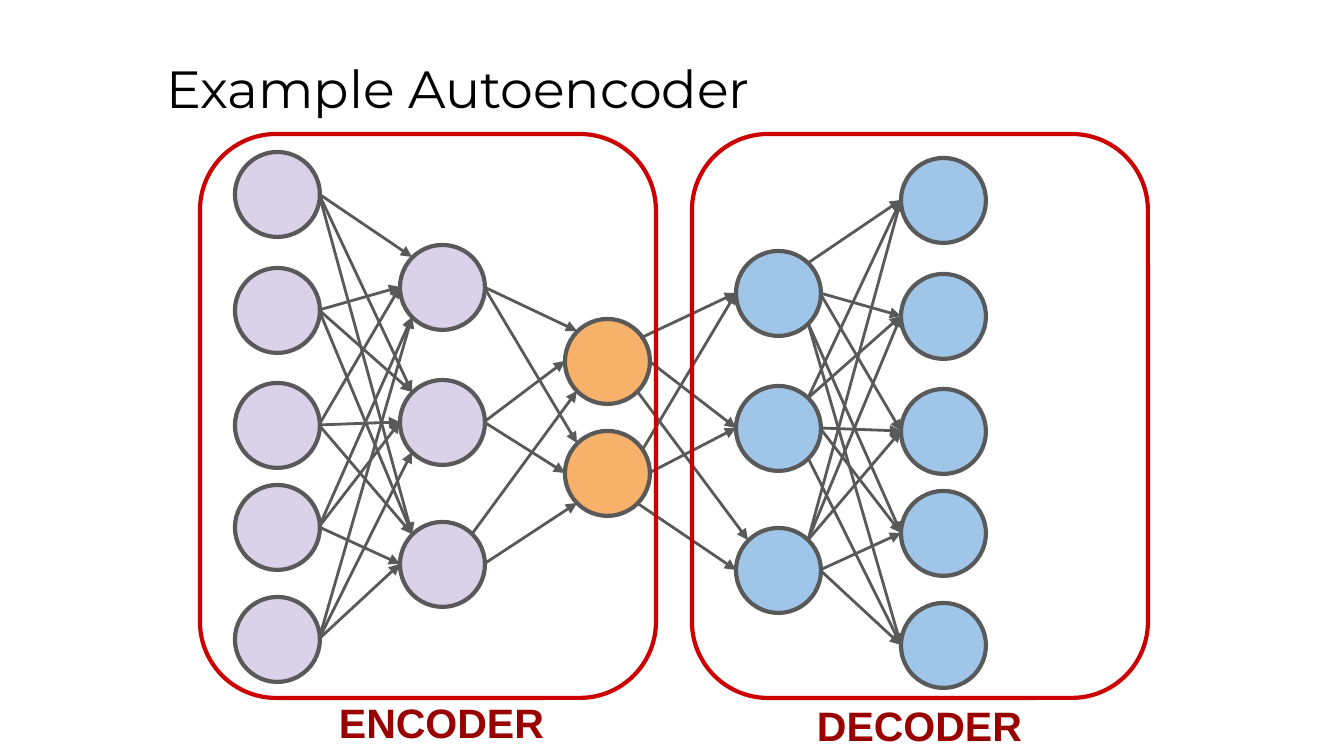
"""Build the autoencoder diagram slide."""
from lxml import etree
from pptx import Presentation
from pptx.dml.color import RGBColor
from pptx.enum.shapes import MSO_CONNECTOR, MSO_SHAPE
from pptx.enum.text import PP_ALIGN
from pptx.oxml.ns import qn
from pptx.util import Pt

PX = 914400 / 134.4
BLACK = RGBColor(0x00, 0x00, 0x00)
GRAY = RGBColor(0x59, 0x59, 0x59)
PURPLE = RGBColor(0xD9, 0xD2, 0xE9)
ORANGE = RGBColor(0xF6, 0xB2, 0x6B)
BLUE = RGBColor(0x9F, 0xC5, 0xE8)
RED = RGBColor(0xCC, 0x00, 0x00)
DARK_RED = RGBColor(0x99, 0x00, 0x00)

NODE, RADIUS = 85, 42
OUTER_TOPS = [152, 268, 383, 485, 597]
HIDDEN_TOPS = [245, 380, 522]
CODE_TOPS = [319, 431]
DECODER_DROP = 6

SITES = {"upper": (-30, -30), "side": (-RADIUS, 0), "lower": (-30, 30)}
OUTER_LINKS = [
    ["upper", "upper", "upper"],
    ["side", "upper", "upper"],
    ["side", "side", "upper"],
    ["lower", "side", "side"],
    ["lower", "lower", "side"],
]
CODE_LINKS = [["upper", "upper"], ["side", "side"], ["lower", "lower"]]


def emu(*lengths):
    return [round(v * PX) for v in lengths]


def add_label(text, box, font, size, color, bold=False, align=PP_ALIGN.LEFT):
    tb = s.shapes.add_textbox(*emu(*box))
    tf = tb.text_frame
    tf.word_wrap = True
    tf.margin_left = tf.margin_right = tf.margin_top = tf.margin_bottom = emu(13)[0]
    tf.text = text
    p = tf.paragraphs[0]
    p.alignment = align
    f = p.runs[0].font
    f.name, f.size, f.bold = font, Pt(size), bold
    f.color.rgb = color


prs = Presentation()
prs.slide_width, prs.slide_height = emu(1344, 756)
s = prs.slides.add_slide(prs.slide_layouts[6])

add_label("Example Autoencoder", (153, 43, 1145, 85), "Montserrat", 28, BLACK)

layers = {
    "input": (235, OUTER_TOPS, PURPLE),
    "encoder": (400, HIDDEN_TOPS, PURPLE),
    "code": (565, CODE_TOPS, ORANGE),
    "decoder": (736, [y + DECODER_DROP for y in HIDDEN_TOPS], BLUE),
    "output": (901, [y + DECODER_DROP for y in OUTER_TOPS], BLUE),
}
centers = {}
for name, (left, tops, fill) in layers.items():
    centers[name] = [(left + RADIUS, top + RADIUS) for top in tops]
    for top in tops:
        node = s.shapes.add_shape(MSO_SHAPE.OVAL, *emu(left, top, NODE, NODE))
        node.shadow.inherit = False
        node.fill.solid()
        node.fill.fore_color.rgb = fill
        node.line.color.rgb = GRAY
        node.line.width = Pt(2.25)

for far, near, links, side in [
    ("input", "encoder", OUTER_LINKS, 1),
    ("encoder", "code", CODE_LINKS, 1),
    ("output", "decoder", OUTER_LINKS, -1),
    ("decoder", "code", CODE_LINKS, -1),
]:
    for i, row in enumerate(links):
        for j, site in enumerate(row):
            dx, dy = SITES[site]
            if (near, side, site) == ("code", -1, "upper"):
                dx, dy = dx - DECODER_DROP, dy + DECODER_DROP
            x, y = centers[near][j]
            near_end = (x + side * dx, y + dy)
            x, y = centers[far][i]
            far_end = (x + side * RADIUS, y)
            if near == "code" and (i, j) == (2, 0):
                far_end = (x + side * 30, y - 30)
            ends = far_end + near_end if side == 1 else near_end + far_end
            arrow = s.shapes.add_connector(MSO_CONNECTOR.STRAIGHT, *emu(*ends))
            arrow.line.color.rgb = GRAY
            arrow.line.width = Pt(1.5)
            etree.SubElement(arrow.line._get_or_add_ln(), qn("a:tailEnd"), type="triangle")
            etree.SubElement(arrow._element.spPr, qn("a:effectLst"))

for text, frame_left, label_left, label_top in [
    ("ENCODER", 200, 316, 684),
    ("DECODER", 692, 794, 687),
]:
    frame = s.shapes.add_shape(MSO_SHAPE.ROUNDED_RECTANGLE, *emu(frame_left, 134, 456, 564))
    frame.shadow.inherit = False
    frame.adjustments[0] = 0.167
    frame.fill.background()
    frame.line.color.rgb = RED
    frame.line.width = Pt(2.25)
    add_label(text, (label_left, label_top, 251, 66), "Arial", 22, DARK_RED, True, PP_ALIGN.CENTER)

prs.save("out.pptx")
